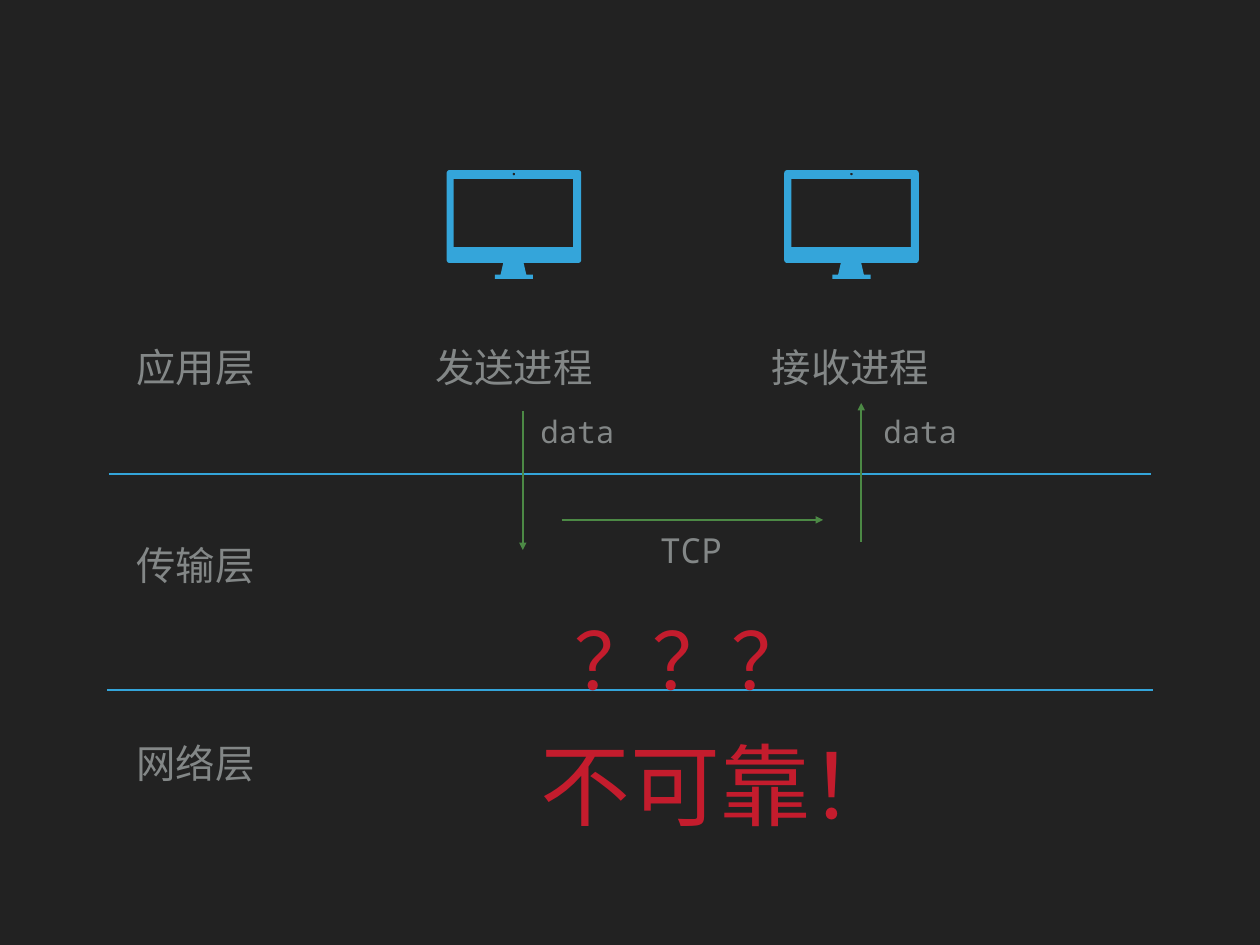
from math import cos, pi, sin

from lxml import etree
from pptx import Presentation
from pptx.dml.color import RGBColor
from pptx.enum.shapes import MSO_CONNECTOR
from pptx.enum.text import MSO_ANCHOR, MSO_AUTO_SIZE
from pptx.oxml.ns import qn
from pptx.util import Inches, Pt

STRAIGHT = MSO_CONNECTOR.STRAIGHT
MIDDLE = MSO_ANCHOR.MIDDLE
FIT_TEXT = MSO_AUTO_SIZE.SHAPE_TO_FIT_TEXT

FONT = "Noto Sans Mono"
BACKGROUND = "222222"
BLUE = "34A5DA"
GREEN = "4C8945"
GREY = "838787"
RED = "C41C2D"


def paint(fill, color):
    fill.solid()
    fill.fore_color.rgb = RGBColor.from_string(color)


def add_label(slide, text, left, top, width, height, size, color=GREY):
    box = slide.shapes.add_textbox(Inches(left), Inches(top), Inches(width), Inches(height))
    frame = box.text_frame
    frame.word_wrap = False
    frame.auto_size = FIT_TEXT
    frame.vertical_anchor = MIDDLE
    frame.margin_left = frame.margin_right = Inches(0.06)
    frame.margin_top = frame.margin_bottom = Inches(0.06)
    para = frame.paragraphs[0]
    para.text = text
    para.line_spacing = 0.1
    para.space_before = Pt(24)
    para.font.name = FONT
    para.font.size = Pt(size)
    paint(para.font.fill, color)
    # The Chinese characters take the East Asian font
    properties = para._p.pPr.find(qn("a:defRPr"))
    etree.SubElement(properties, qn("a:ea"), typeface=FONT)


def add_line(slide, start, end, color, arrow=False):
    line = slide.shapes.add_connector(STRAIGHT, *map(Inches, start + end))
    line.line.width = Pt(2)
    paint(line.line.fill, color)
    if arrow:
        etree.SubElement(line.line._get_or_add_ln(), qn("a:tailEnd"), type="triangle")
    etree.SubElement(line._element.spPr, qn("a:effectLst"))


def arc(center_x, center_y, radius, start, sweep, steps):
    """Points on an arc, with angles in quarter turns."""
    angles = [(start + sweep * step / steps) * pi / 2 for step in range(steps + 1)]
    return [(center_x + radius * cos(angle), center_y + radius * sin(angle))
            for angle in angles]


def add_monitor(slide, left, top):
    # Units are thousandths of an inch
    width, body, height, corner = 1520, 1050, 1230, 35
    right = width - corner
    bottom = body - corner
    stand = [(870, body), (900, 1180), (975, 1180), (975, height),
             (545, height), (545, 1180), (610, 1180), (640, body)]
    outline = (arc(corner, corner, corner, 2, 1, 4)
               + arc(right, corner, corner, 3, 1, 4)
               + arc(right, bottom, corner, 0, 1, 4)
               + stand
               + arc(corner, bottom, corner, 1, 1, 4))
    camera = arc(width / 2, 45, 15, 0, -4, 12)
    screen = [(80, 100), (80, 870), (1430, 870), (1430, 100)]

    builder = slide.shapes.build_freeform(*outline[0], scale=Inches(0.001))
    builder.add_line_segments(outline[1:], close=True)
    for hole in (camera, screen):
        builder.move_to(*hole[0])
        builder.add_line_segments(hole[1:], close=True)
    monitor = builder.convert_to_shape(Inches(left), Inches(top))
    monitor.shadow.inherit = False
    paint(monitor.fill, BLUE)
    monitor.line.fill.background()


def main():
    deck = Presentation()
    deck.slide_width = Inches(14.22)
    deck.slide_height = Inches(10.67)
    slide = deck.slides.add_slide(deck.slide_layouts[6])
    paint(slide.background.fill, BACKGROUND)

    # Sending and receiving computers
    for left in (5.04, 8.85):
        add_monitor(slide, left, 1.92)
    for process, left in (("发送进程", 4.85), ("接收进程", 8.65)):
        add_label(slide, process, left, 3.93, 1.9, 0.74, 32)

    # Network layers and the borders between them
    for layer, top in (("应用层", 3.93), ("传输层", 6.17), ("网络层", 8.41)):
        add_label(slide, layer, 1.48, top, 1.46, 0.74, 32)
    add_line(slide, (1.23, 5.35), (12.99, 5.35), BLUE)
    add_line(slide, (1.21, 7.79), (13.01, 7.79), BLUE)

    # Path of the data
    for start, end in (((5.9, 4.64), (5.9, 6.21)),
                       ((6.34, 5.87), (9.29, 5.87)),
                       ((9.72, 6.12), (9.72, 4.55))):
        add_line(slide, start, end, GREEN, arrow=True)
    for left in (6.04, 9.91):
        add_label(slide, "data", left, 4.73, 0.96, 0.53, 25)
    add_label(slide, "TCP", 7.39, 6.06, 0.83, 0.58, 28)

    # Warning about the network layer
    add_label(slide, "不可靠！", 6.04, 8.45, 4.18, 1.53, 73, RED)
    add_label(slide, "？？？", 6.42, 7.08, 2.79, 1.36, 64, RED)

    deck.save("out.pptx")


if __name__ == "__main__":
    main()
